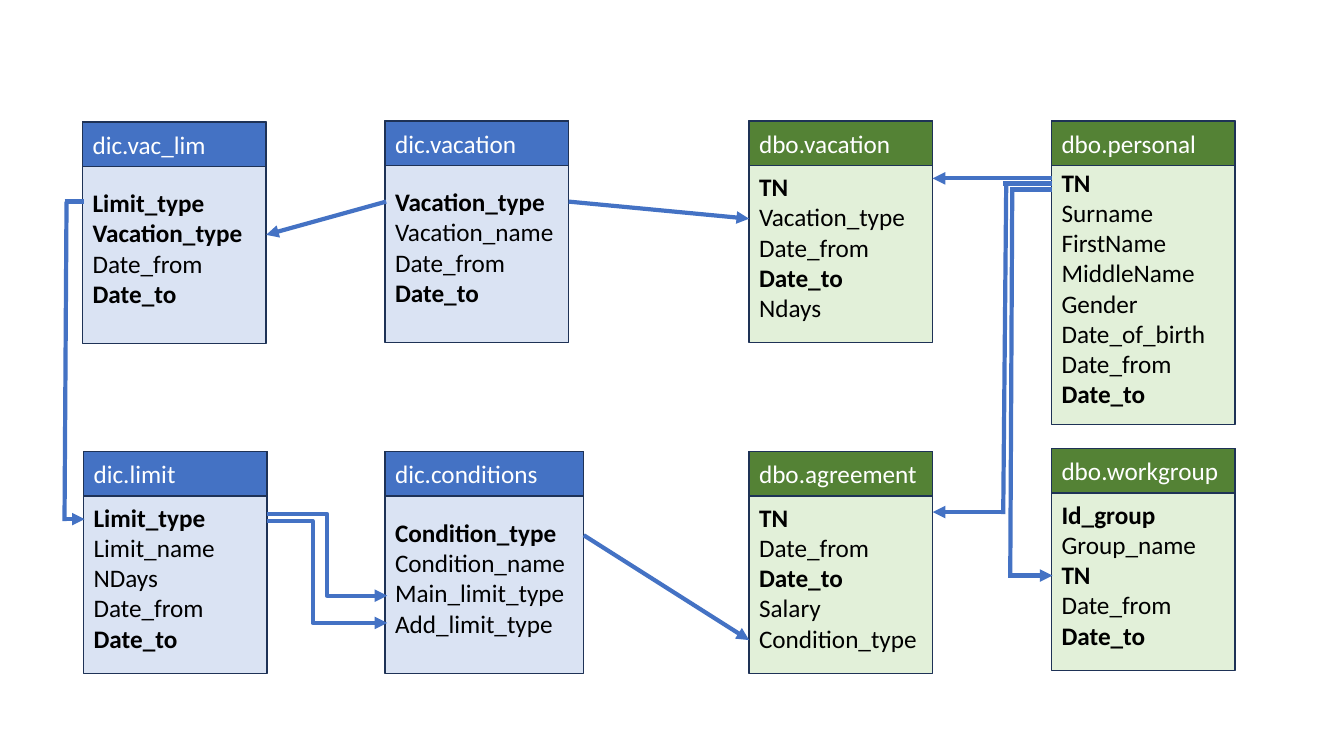
from lxml.etree import SubElement
from pptx import Presentation
from pptx.dml.color import RGBColor
from pptx.enum.shapes import MSO_CONNECTOR as CONNECTOR, MSO_SHAPE as SHAPE
from pptx.enum.text import MSO_ANCHOR as ANCHOR, PP_ALIGN as ALIGN
from pptx.oxml.ns import qn
from pptx.util import Inches, Pt

COLORS = {
    "dic_header": "4472C4", "dic_body": "DAE3F3",
    "dbo_header": "548235", "dbo_body": "E2F0D9",
    "border": "1E3256", "link": "4472C4",
    "name": "FFFFFF", "field": "000000",
}
HEADER_HEIGHT = 0.44

ENTITIES = [
    ("dic.limit", (0.83, 4.48, 1.82, 2.2),
     ["Limit_type", "Limit_name", "NDays", "Date_from", "Date_to"], {"Limit_type", "Date_to"}),
    ("dbo.agreement", (7.43, 4.48, 1.82, 2.2),
     ["TN", "Date_from", "Date_to", "Salary", "Condition_type"], {"TN", "Date_to"}),
    ("dbo.personal", (10.43, 1.2, 1.82, 3.01),
     ["TN", "Surname", "FirstName", "MiddleName", "Gender", "Date_of_birth",
      "Date_from", "Date_to"], {"TN", "Date_to"}),
    ("dbo.workgroup", (10.43, 4.45, 1.82, 2.2),
     ["Id_group", "Group_name", "TN", "Date_from", "Date_to"], {"Id_group", "TN", "Date_to"}),
    ("dic.vacation", (3.82, 1.2, 1.82, 2.2),
     ["Vacation_type", "Vacation_name", "Date_from", "Date_to"], {"Vacation_type", "Date_to"}),
    ("dic.vac_lim", (0.82, 1.21, 1.82, 2.2),
     ["Limit_type", "Vacation_type", "Date_from", "Date_to"],
     {"Limit_type", "Vacation_type", "Date_to"}),
    ("dbo.vacation", (7.43, 1.2, 1.82, 2.2),
     ["TN", "Vacation_type", "Date_from", "Date_to", "Ndays"], {"TN", "Date_to"}),
    ("dic.conditions", (3.82, 4.48, 1.97, 2.2),
     ["Condition_type", "Condition_name", "Main_limit_type", "Add_limit_type"],
     {"Condition_type"}),
]

ARROWS = [
    ((5.64, 2), (7.43, 2.17)),
    ((10.43, 1.77), (9.25, 1.77)),
    ((3.83, 2), (2.64, 2.33)),
    ((5.79, 5.31), (7.43, 6.35)),
    ((0.64, 5.15), (0.84, 5.15)),
    ((9.96, 5.08), (9.25, 5.08)),
    ((10, 5.71), (10.44, 5.71)),
]
PLAIN_LINES = [
    ((0.64, 2), (0.83, 2)),
    ((0.66, 2), (0.64, 5.17)),
    ((9.95, 1.82), (10.43, 1.82)),
    ((9.98, 1.82), (9.95, 5.1)),
    ((10.02, 1.88), (10.43, 1.88)),
    ((10.04, 1.86), (10.02, 5.73)),
]
ELBOWS = [
    ((2.65, 5.1), (3.84, 5.91), 50000),
    ((2.65, 5.17), (3.84, 6.18), 37900),
]


def color(key):
    return RGBColor.from_string(COLORS[key])


def add_box(group, bounds, fill, lines, text_color, keys=(), top_margin=0.05):
    box = group.shapes.add_shape(SHAPE.RECTANGLE, *map(Inches, bounds))
    box.shadow.inherit = False
    box.fill.solid()
    box.fill.fore_color.rgb = color(fill)
    box.line.color.rgb = color("border")
    box.line.width = Pt(1)
    frame = box.text_frame
    frame.word_wrap = True
    frame.vertical_anchor = ANCHOR.MIDDLE
    frame.margin_top = Inches(top_margin)
    frame.text = "\n".join(lines)
    for paragraph in frame.paragraphs:
        paragraph.alignment = ALIGN.LEFT
        for run in paragraph.runs:
            run.font.name = "Calibri"
            run.font.size = Pt(18)
            run.font.bold = run.text in keys
            run.font.color.rgb = color(text_color)


def add_entity(slide, name, bounds, fields, keys):
    schema = name.split(".")[0]
    left, top, width, height = bounds
    entity = slide.shapes.add_group_shape()
    add_box(entity, bounds, f"{schema}_body", fields, "field", keys,
            top_margin=0.35)
    add_box(entity, (left, top, width, HEADER_HEIGHT), f"{schema}_header", [name], "name")


def add_link(slide, start, end, arrow=True, bend=None):
    kind = CONNECTOR.STRAIGHT if bend is None else CONNECTOR.ELBOW
    link = slide.shapes.add_connector(kind, *map(Inches, start + end))
    link.line.color.rgb = color("link")
    link.line.width = Pt(3)
    properties = link._element.spPr
    if arrow:
        SubElement(properties.find(qn("a:ln")), qn("a:tailEnd"), type="triangle")
    if bend is not None:
        adjustments = properties.find(qn("a:prstGeom")).find(qn("a:avLst"))
        SubElement(adjustments, qn("a:gd"), name="adj1", fmla=f"val {bend}")
    SubElement(properties, qn("a:effectLst"))


def main():
    presentation = Presentation()
    presentation.slide_width = Inches(13.33)
    presentation.slide_height = Inches(7.5)
    slide = presentation.slides.add_slide(presentation.slide_layouts[6])
    for entity in ENTITIES:
        add_entity(slide, *entity)
    for start, end in PLAIN_LINES:
        add_link(slide, start, end, arrow=False)
    for start, end in ARROWS:
        add_link(slide, start, end)
    for start, end, bend in ELBOWS:
        add_link(slide, start, end, bend=bend)
    presentation.save("out.pptx")


main()
